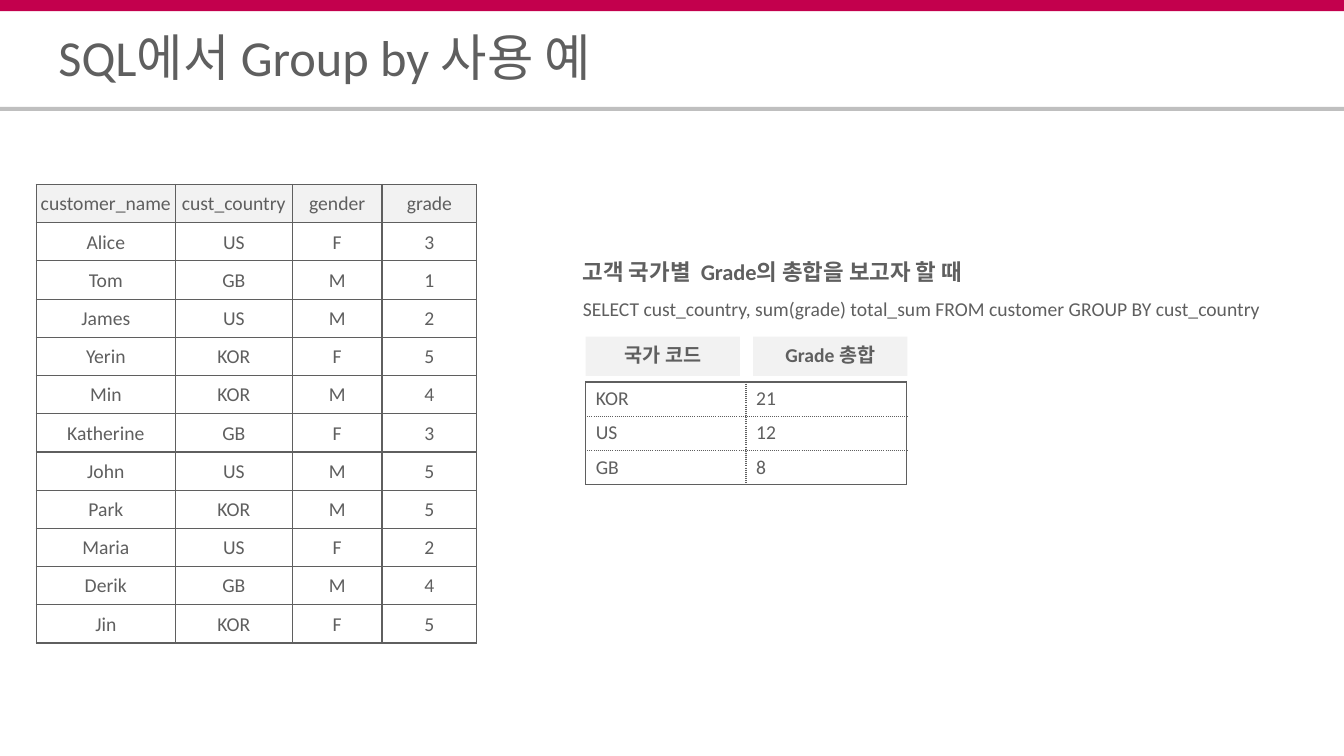
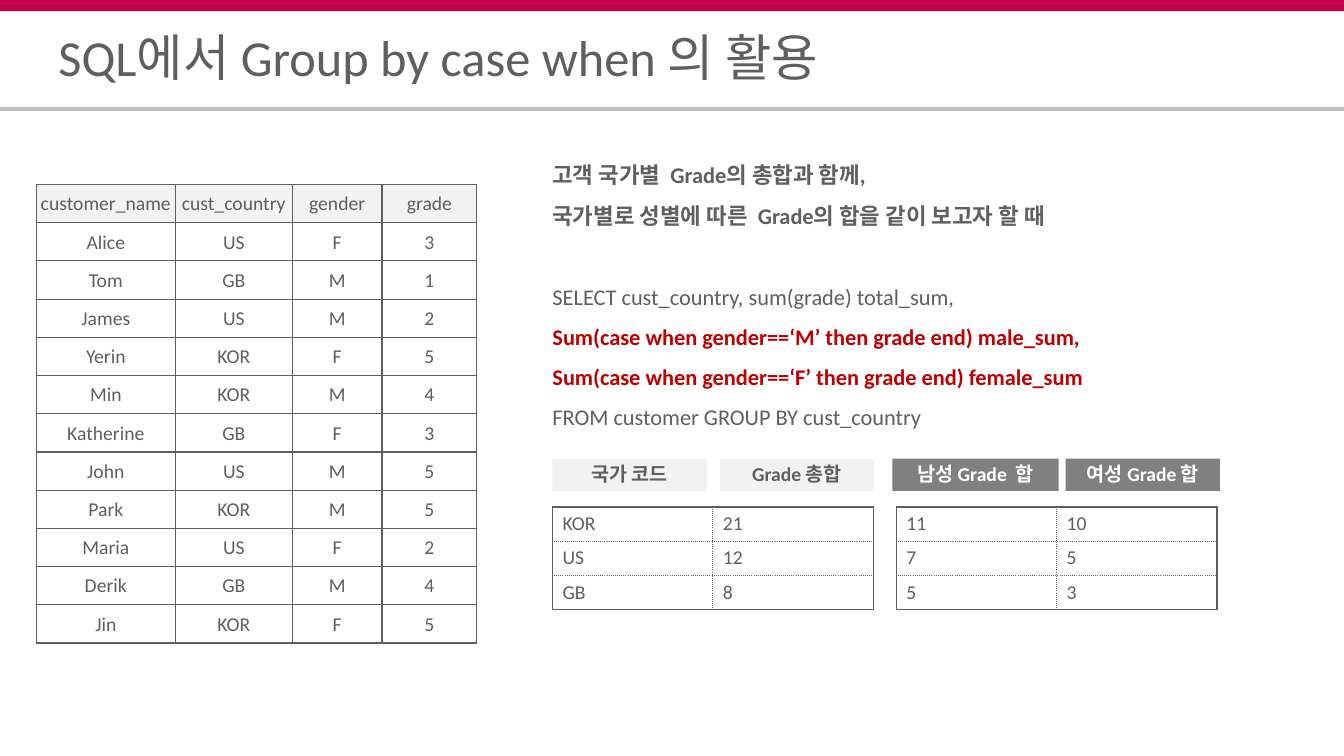
from lxml import etree
from pptx import Presentation
from pptx import util as u
from pptx.dml.color import RGBColor
from pptx.enum import shapes, text
from pptx.oxml import ns


class Theme:
    font = "Calibri"
    ink, pale, dark, white = "5F5F5F", "F2F2F2", "808080", "FFFFFF"
    crimson, rule, alert = "C3004D", "BFBFBF", "C00000"
    title, lead, body = 36, 16, 14


def write(paragraph, words, size, color=Theme.ink, bold=False, **formats):
    for name, value in formats.items():
        setattr(paragraph, name, value)
    run = paragraph.add_run()
    run.text = words
    for name, value in dict(name=Theme.font, size=u.Pt(size), bold=bold).items():
        setattr(run.font, name, value)
    run.font.color.rgb = RGBColor.from_string(color)


def draw_table(slide, left, top, widths, height, rows, dotted=False, header=False, align=None, **cell_formats):
    frame = slide.shapes.add_table(len(rows), len(widths), u.Inches(left), u.Inches(top),
                                   u.Inches(sum(widths)), u.Inches(height * len(rows)))
    grid = frame.table
    grid.first_row = grid.horz_banding = False
    for column, width in zip(grid.columns, widths):
        column.width = u.Inches(width)
    for r, values in enumerate(rows):
        grid.rows[r].height = u.Inches(height)
        for c, value in enumerate(values):
            cell = grid.cell(r, c)
            for name, setting in cell_formats.items():
                setattr(cell, name, setting)
            write(cell.text_frame.paragraphs[0], value, Theme.body, alignment=align)
            outer = dict(L=c == 0, R=c == len(widths) - 1, T=r == 0, B=r == len(rows) - 1)
            properties = cell._tc.get_or_add_tcPr()
            for side, is_outer in outer.items():
                border = etree.SubElement(properties, ns.qn(f"a:ln{side}"), w=str(u.Pt(1)))
                paint = etree.SubElement(border, ns.qn("a:solidFill"))
                etree.SubElement(paint, ns.qn("a:srgbClr"), val=Theme.ink)
                dash = "sysDot" if dotted and not is_outer else "solid"
                etree.SubElement(border, ns.qn("a:prstDash"), val=dash)
            if header and r == 0:
                cell.fill.solid()
                cell.fill.fore_color.rgb = RGBColor.from_string(Theme.pale)
            else:
                cell.fill.background()


customers = [
    ("customer_name", "cust_country", "gender", "grade"),
    ("Alice", "US", "F", "3"),
    ("Tom", "GB", "M", "1"),
    ("James", "US", "M", "2"),
    ("Yerin", "KOR", "F", "5"),
    ("Min", "KOR", "M", "4"),
    ("Katherine", "GB", "F", "3"),
    ("John", "US", "M", "5"),
    ("Park", "KOR", "M", "5"),
    ("Maria", "US", "F", "2"),
    ("Derik", "GB", "M", "4"),
    ("Jin", "KOR", "F", "5"),
]
country_totals = [("KOR", "21"), ("US", "12"), ("GB", "8")]
gender_totals = [("11", "10"), ("7", "5"), ("5", "3")]

strong = dict(size=Theme.lead, bold=True)
plain = dict(size=Theme.lead)
alert = dict(strong, color=Theme.alert)
on_pale = (Theme.pale, Theme.ink)
on_dark = (Theme.dark, Theme.white)

pages = [
    dict(
        title="SQL에서 Group by 사용 예",
        query_at=(5.78, 2.43, 7.71, 0.73),
        query=[
            ("고객 국가별  Grade의 총합을 보고자 할 때", strong),
            ("SELECT cust_country, sum(grade) total_sum FROM customer GROUP BY cust_country",
             dict(size=Theme.body)),
        ],
        label_top=3.34, label_height=0.39,
        labels=[("국가 코드", 5.81, 1.53, on_pale), ("Grade 총합", 7.47, 1.53, on_pale)],
        result_top=3.79,
        results=[(5.81, country_totals)],
    ),
    dict(
        title="SQL에서 Group by case when 의 활용",
        query_at=(5.48, 1.47, 8, 0.72),
        query=[
            ("고객 국가별  Grade의 총합과 함께,", strong),
            ("국가별로 성별에 따른  Grade의 합을 같이 보고자 할 때", strong),
            ("SELECT cust_country, sum(grade) total_sum,", dict(plain, space_before=u.Pt(29))),
            ("Sum(case when gender==‘M’ then grade end) male_sum,", alert),
            ("Sum(case when gender==‘F’ then grade end) female_sum", alert),
            ("FROM customer GROUP BY cust_country", plain),
        ],
        label_top=4.55, label_height=0.32,
        labels=[
            ("국가 코드", 5.48, 1.53, on_pale),
            ("Grade 총합", 7.14, 1.53, on_pale),
            ("남성 Grade  합", 8.85, 1.65, on_dark),
            ("여성 Grade 합", 10.57, 1.53, on_dark),
        ],
        result_top=5.03,
        results=[(5.48, country_totals), (8.89, gender_totals)],
    ),
]

no_insets = dict(margin_left=0, margin_right=0, margin_top=0, margin_bottom=0, word_wrap=True)
centred = dict(alignment=text.PP_ALIGN.CENTER, line_spacing=0.9)
bands = [(0, 0.11, Theme.crimson), (1.06, 0.04, Theme.rule)]
hairline = u.Inches(0.01)

deck = Presentation()
deck.slide_width, deck.slide_height = u.Inches(13.33), u.Inches(7.5)

for page in pages:
    slide = deck.slides.add_slide(deck.slide_layouts[5])
    blocks = [(0, top, 13.33, height, color, None, None) for top, height, color in bands]
    blocks += [(left, page["label_top"], width, page["label_height"], fill, label, ink)
               for label, left, width, (fill, ink) in page["labels"]]
    for left, top, width, height, fill, label, ink in blocks:
        block = slide.shapes.add_shape(shapes.MSO_SHAPE.RECTANGLE, *map(u.Inches, (left, top, width, height)))
        block.shadow.inherit = False
        block.fill.solid()
        block.fill.fore_color.rgb = RGBColor.from_string(fill)
        block.line.fill.background()
        if label:
            block.text_frame.vertical_anchor = text.MSO_ANCHOR.MIDDLE
            write(block.text_frame.paragraphs[0], label, Theme.body, ink, True, **centred)

    title = slide.shapes.title
    for name, value in dict(left=0.58, top=0.33, width=12.17, height=0.58).items():
        setattr(title, name, u.Inches(value))
    query = slide.shapes.add_textbox(*map(u.Inches, page["query_at"]))
    for frame in (title.text_frame, query.text_frame):
        for name, value in no_insets.items():
            setattr(frame, name, value)
    title.text_frame.auto_size = text.MSO_AUTO_SIZE.NONE
    title.text_frame.vertical_anchor = text.MSO_ANCHOR.MIDDLE
    write(title.text_frame.paragraphs[0], page["title"], Theme.title,
          alignment=text.PP_ALIGN.LEFT, line_spacing=0.8)
    for index, (words, formats) in enumerate(page["query"]):
        lines = query.text_frame
        paragraph = lines.add_paragraph() if index else lines.paragraphs[0]
        write(paragraph, words, line_spacing=1.5, **formats)

    draw_table(slide, 0.36, 1.83, (1.38, 1.16, 0.89, 0.94), 4.55 / len(customers), customers,
               header=True, align=text.PP_ALIGN.CENTER, vertical_anchor=text.MSO_ANCHOR.MIDDLE,
               margin_left=hairline, margin_right=hairline, margin_top=hairline, margin_bottom=0)
    for left, totals in page["results"]:
        draw_table(slide, left, page["result_top"], (1.59, 1.59), 0.34, totals, dotted=True)

deck.save("out.pptx")
